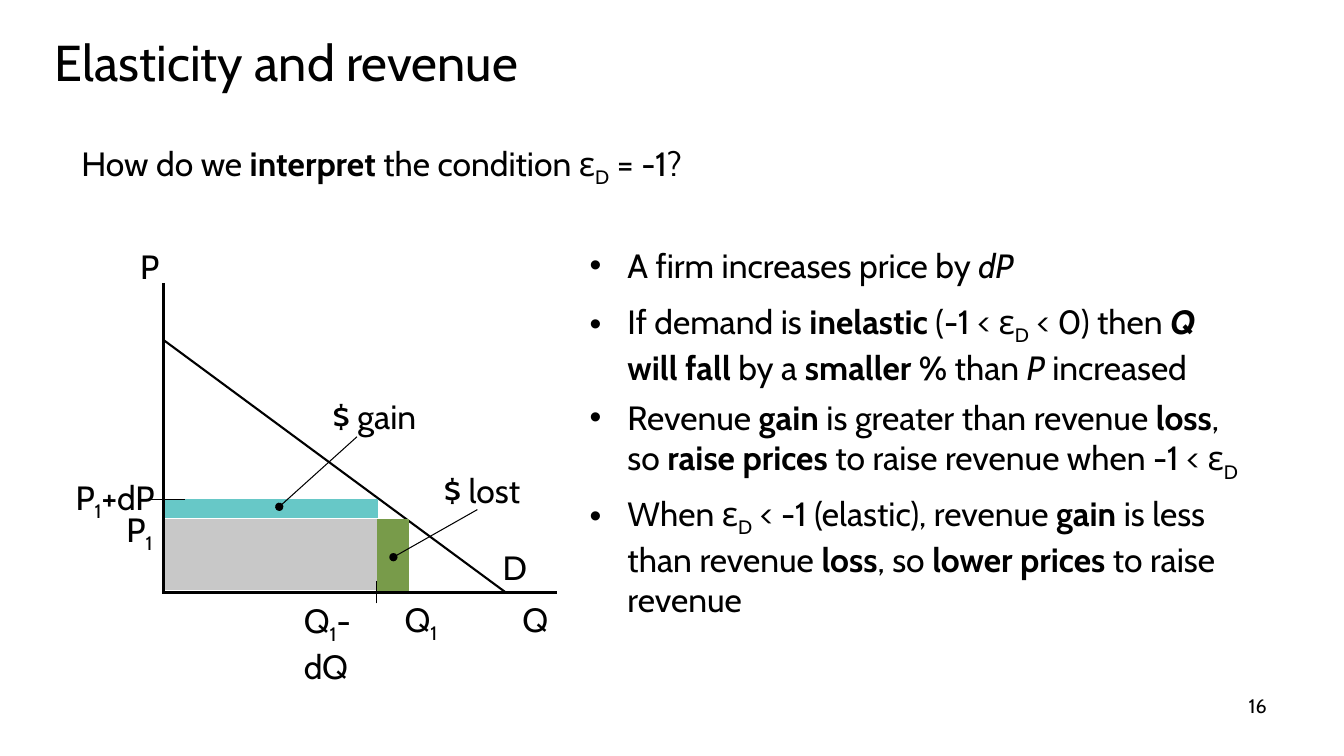
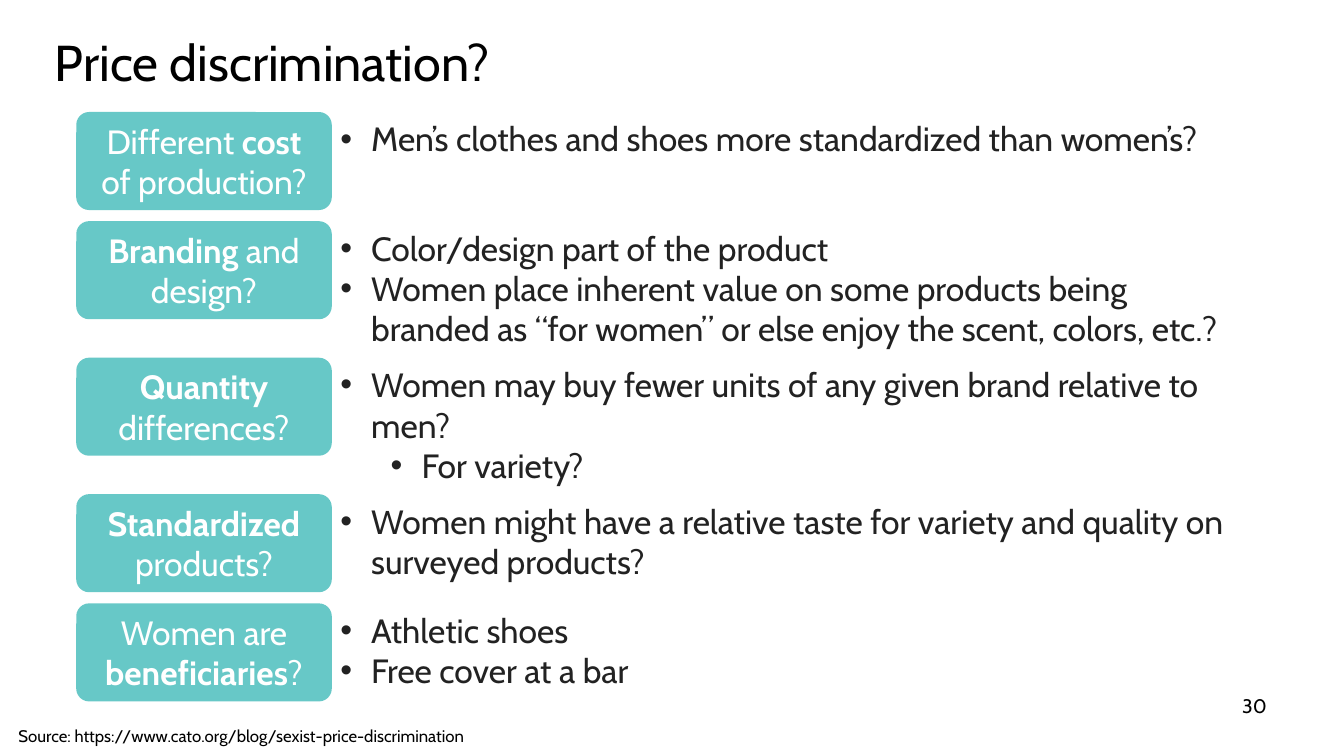
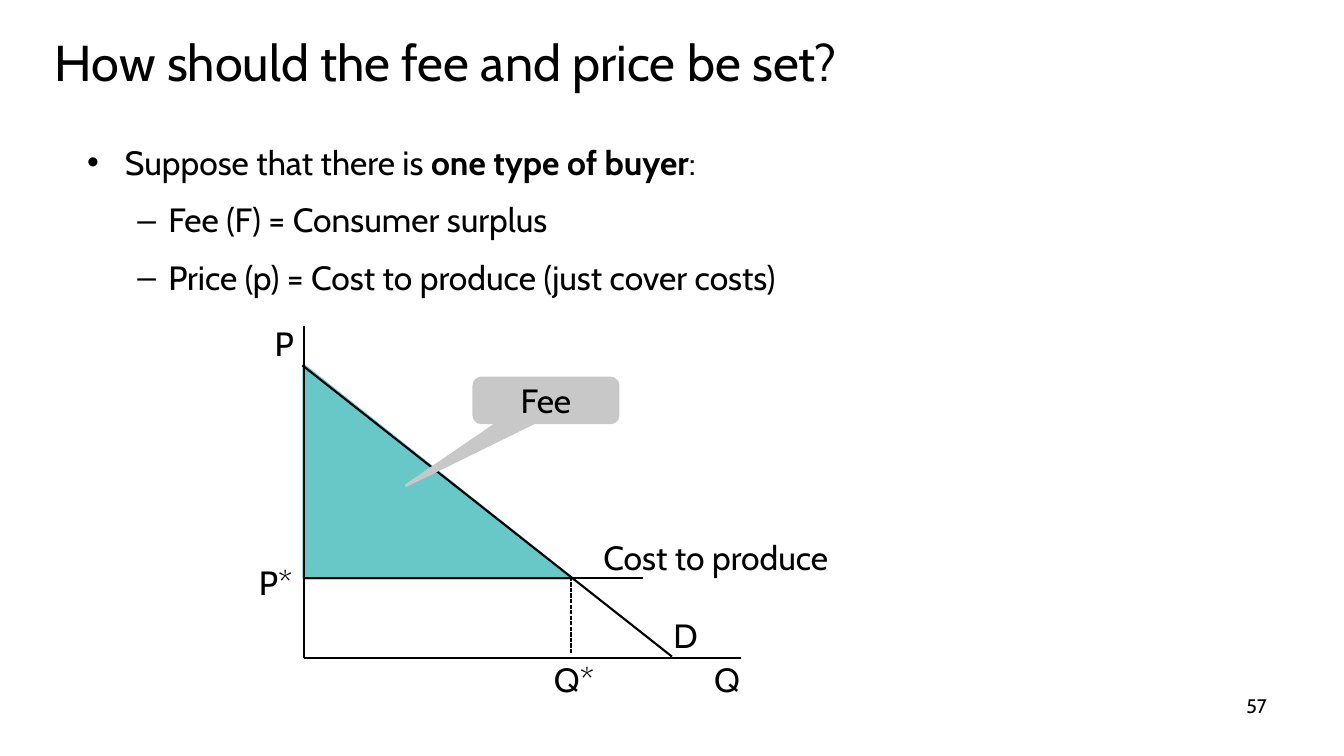
from pptx import Presentation
from pptx.dml.color import RGBColor
from pptx.enum.dml import MSO_LINE
from pptx.enum.shapes import MSO_CONNECTOR, MSO_SHAPE
from pptx.enum.text import MSO_ANCHOR, MSO_AUTO_SIZE, PP_ALIGN
from pptx.oxml.ns import qn
from pptx.util import Pt
from lxml.etree import SubElement

FONT = "Cabin"
BLACK, WHITE, INK = "000000", "FFFFFF", "222222"
TEAL, GRAY, GREEN = "67C8C7", "C8C8C8", "789B4A"
LEFT, CENTER, RIGHT = PP_ALIGN.LEFT, PP_ALIGN.CENTER, PP_ALIGN.RIGHT
TITLE_BOX = (32, 18, 864, 51)
NUMBER_BOX = (688, 492, 224, 37)
TITLE_ONLY, TITLE_AND_BODY = 5, 1

QUESTION = ["How do we ", ("interpret ", "b"), "the condition ε", ("D", "s"), " = -1?"]
# level, space before, runs
REVENUE_POINTS = [
    (0, 0, ["A firm increases price by ", ("dP", "i")]),
    (0, 11.5, ["If demand is ", ("inelastic ", "b"), "(-1 < ε", ("D", "s"), " < 0) then ",
               ("Q", "bi"), (" will fall ", "b"), "by a ", ("smaller % ", "b"), "than ",
               ("P", "i"), " increased"]),
    (0, 7, ["Revenue", (" gain ", "b"), "is greater than revenue ", ("loss", "b"), ", so ",
            ("raise prices ", "b"), "to raise revenue when -1 < ε", ("D", "s")]),
    (0, 7, ["When ε", ("D", "s"), " < -1 (elastic), revenue", (" gain ", "b"),
            "is less than revenue ", ("loss", "b"), ", so ", ("lower prices ", "b"),
            "to raise revenue"]),
]
REVENUE_AXES = [
    ((117, 202), (117, 423), 2.25),
    ((116, 423), (398, 423), 2.25),
    ((117, 243), (361, 423), 1.5),
]
REVENUE_AREAS = [
    ((118, 371, 174, 50), GRAY),
    ((118, 356.5, 152, 13.5), TEAL),
    ((270, 371, 22, 51), GREEN),
]
REVENUE_POINTERS = [
    ((255, 312), (199.5, 362)),
    ((341, 364), (281, 398)),
]
REVENUE_TICKS = [
    ((269, 431), (269, 415), 0.75),
    ((104, 356.5), (132.5, 356.5), 0.75),
]
REVENUE_LABELS = [
    ((93, 172, 56, 36), ["P"], LEFT),
    ((366, 424, 56, 36), ["Q"], LEFT),
    ((352, 387, 56, 36), ["D"], LEFT),
    ((74, 360, 42, 36), ["P", ("1", "s")], RIGHT),
    ((37, 337, 80.5, 36), ["P", ("1", "s"), "+dP"], RIGHT),
    ((282, 424, 43, 36), ["Q", ("1", "s")], LEFT),
    ((210, 425, 77, 36), ["Q", ("1", "s"), "-dQ"], LEFT),
    ((230.5, 279.5, 97, 36), ["$ gain"], LEFT),
    ((310, 332, 104, 36), ["$ lost"], LEFT),
]

SOURCE = ["Source: https://www.cato.org/blog/sexist-price-discrimination"]
# label, row pitch, points
REASONS = [
    (["Different ", ("cost", "b"), " of production?"], 78,
     [(0, 0, ["Men’s clothes and shoes more standardized than women’s?"])]),
    ([("Branding", "b"), " and design?"], 97.5,
     [(0, 0, ["Color/design part of the product"]),
      (0, 0, ["Women place inherent value on some products being branded as "
              "“for women” or else enjoy the scent, colors, etc.?"])]),
    ([("Quantity", "b"), " differences?"], 97.5,
     [(0, 0, ["Women may buy fewer units of any given brand relative to men?"]),
      (1, 0, ["For variety?"])]),
    ([("Standardized", "b"), " products?"], 78,
     [(0, 0, ["Women might have a relative taste for variety and quality on "
              "surveyed products?"])]),
    (["Women are ", ("beneficiaries", "b"), "?"], 78,
     [(0, 0, ["Athletic shoes"]), (0, 0, ["Free cover at a bar"])]),
]

FEE_POINTS = [
    (0, 0, ["Suppose that there is ", ("one type of buyer", "b"), ":"]),
    (1, 12, ["Fee (F) = Consumer surplus"]),
    (1, 12, ["Price (p) = Cost to produce (just cover costs)"]),
]
FEE_LINES = [
    ((217, 233), (217, 470), 1.5),
    ((217, 470), (529, 470), 1.5),
    ((216, 261), (480, 469), 1.5),
    ((217, 413), (459, 413), 1.5),
]
FEE_LABELS = [
    ((503, 467, 34, 30), ["Q"], LEFT),
    ((474, 436, 55, 30), ["D"], LEFT),
    ((187, 227, 30, 30), ["P"], RIGHT),
    ((424, 380, 175, 30), ["Cost to produce"], LEFT),
    ((387, 467, 46, 30), ["Q*"], CENTER),
    ((170, 397.5, 46, 30), ["P*"], RIGHT),
]


def color(value):
    return RGBColor.from_string(value)


def apply(target, **values):
    for name, value in values.items():
        setattr(target, name, value)


def points(values):
    return [Pt(v) for v in values]


def write(p, runs, size=24, ink=BLACK, align=LEFT, before=0):
    apply(p, alignment=align, space_before=Pt(before), space_after=Pt(0))
    for run in runs:
        text, style = (run, "") if isinstance(run, str) else run
        r = p.add_run()
        r.text = text
        apply(r.font, name=FONT, size=Pt(size), bold="b" in style, italic="i" in style)
        r.font.color.rgb = color(ink)
        if "s" in style:
            r._r.get_or_add_rPr().set("baseline", "-25000")


def write_list(tf, items, hang=27, marks="••", ink=BLACK):
    indents = [(hang, hang), (58, 22)]
    for i, (level, before, runs) in enumerate(items):
        p = tf.add_paragraph() if i else tf.paragraphs[0]
        p.level = level
        margin, back = indents[level]
        pPr = p._p.get_or_add_pPr()
        pPr.set("marL", str(Pt(margin)))
        pPr.set("indent", str(-Pt(back)))
        SubElement(pPr, qn("a:buFont")).set("typeface", "Arial")
        SubElement(pPr, qn("a:buChar")).set("char", marks[level])
        write(p, runs, ink=ink, before=before)


def place(sp, box):
    apply(sp, **dict(zip(("left", "top", "width", "height"), points(box))))
    apply(sp.text_frame, word_wrap=True, auto_size=MSO_AUTO_SIZE.NONE)
    return sp.text_frame


def text_frame(s, box):
    tf = s.shapes.add_textbox(*points(box)).text_frame
    tf.word_wrap = True
    return tf


def add_text(s, box, runs, align=LEFT, size=24):
    write(text_frame(s, box).paragraphs[0], runs, size, align=align)


def add_labels(s, labels):
    for box, runs, align in labels:
        add_text(s, box, runs, align)


def add_shape(s, kind, box, fill, line, adjust=(), runs=(), ink=BLACK):
    sp = s.shapes.add_shape(kind, *points(box))
    sp.shadow.inherit = False
    sp.fill.solid()
    sp.fill.fore_color.rgb = color(fill)
    sp.line.color.rgb = color(fill)
    sp.line.width = Pt(line)
    for i, value in enumerate(adjust):
        sp.adjustments[i] = value
    if runs:
        apply(sp.text_frame, word_wrap=True, vertical_anchor=MSO_ANCHOR.MIDDLE)
        write(sp.text_frame.paragraphs[0], runs, ink=ink, align=CENTER)


def add_line(s, start, end, width, dash=None, tail=None):
    c = s.shapes.add_connector(MSO_CONNECTOR.STRAIGHT, *points(start + end))
    c.line.color.rgb = color(BLACK)
    c.line.width = Pt(width)
    if dash:
        c.line.dash_style = dash
    spPr = c._element.spPr
    if tail:
        SubElement(spPr.find(qn("a:ln")), qn("a:tailEnd")).set("type", tail)
    SubElement(spPr, qn("a:effectLst"))


def add_lines(s, lines):
    for line in lines:
        add_line(s, *line)


def add_slide(prs, title, number, layout):
    s = prs.slides.add_slide(prs.slide_layouts[layout])
    tf = place(s.shapes.title, TITLE_BOX)
    tf.vertical_anchor = MSO_ANCHOR.MIDDLE
    write(tf.paragraphs[0], [title], size=36)
    add_text(s, NUMBER_BOX, [number], RIGHT, 14)
    return s


def revenue_slide(prs):
    s = add_slide(prs, "Elasticity and revenue", "16", TITLE_AND_BODY)
    add_text(s, (51, 98.5, 648, 36), QUESTION)
    write_list(place(s.placeholders[1], (414, 171, 487.5, 280)), REVENUE_POINTS)
    add_lines(s, REVENUE_AXES)
    for box, fill in REVENUE_AREAS:
        add_shape(s, MSO_SHAPE.RECTANGLE, box, fill, 0.75)
    for start, end in REVENUE_POINTERS:
        add_line(s, start, end, 0.75, tail="oval")
    add_lines(s, REVENUE_TICKS)
    add_labels(s, REVENUE_LABELS)


def discrimination_slide(prs):
    s = add_slide(prs, "Price discrimination?", "30", TITLE_ONLY)
    add_text(s, (6, 515, 636, 22), SOURCE, size=12)
    top = 81
    for label, pitch, items in REASONS:
        add_shape(s, MSO_SHAPE.ROUNDED_RECTANGLE, (55.5, top, 180.5, 68), TEAL, 2,
                  [0.12], label, WHITE)
        write_list(text_frame(s, (236, top, 666, pitch - 10)), items, hang=22, ink=INK)
        top += pitch


def fee_slide(prs):
    s = add_slide(prs, "How should the fee and price be set?", "57", TITLE_AND_BODY)
    write_list(place(s.placeholders[1], (55, 98, 857.5, 119)), FEE_POINTS, marks="•–")
    add_shape(s, MSO_SHAPE.ISOSCELES_TRIANGLE, (217, 261, 191.5, 152), TEAL, 2, [0])
    add_lines(s, FEE_LINES)
    add_line(s, (408, 412), (408, 467), 1, dash=MSO_LINE.SQUARE_DOT)
    add_labels(s, FEE_LABELS)
    add_shape(s, MSO_SHAPE.ROUNDED_RECTANGULAR_CALLOUT, (338.5, 270, 103, 32), GRAY, 2,
              [-0.97, 1.9, 0.17], ["Fee"])


def main():
    prs = Presentation()
    apply(prs, slide_width=Pt(960), slide_height=Pt(540))
    for build in (revenue_slide, discrimination_slide, fee_slide):
        build(prs)
    prs.save("out.pptx")


if __name__ == "__main__":
    main()
